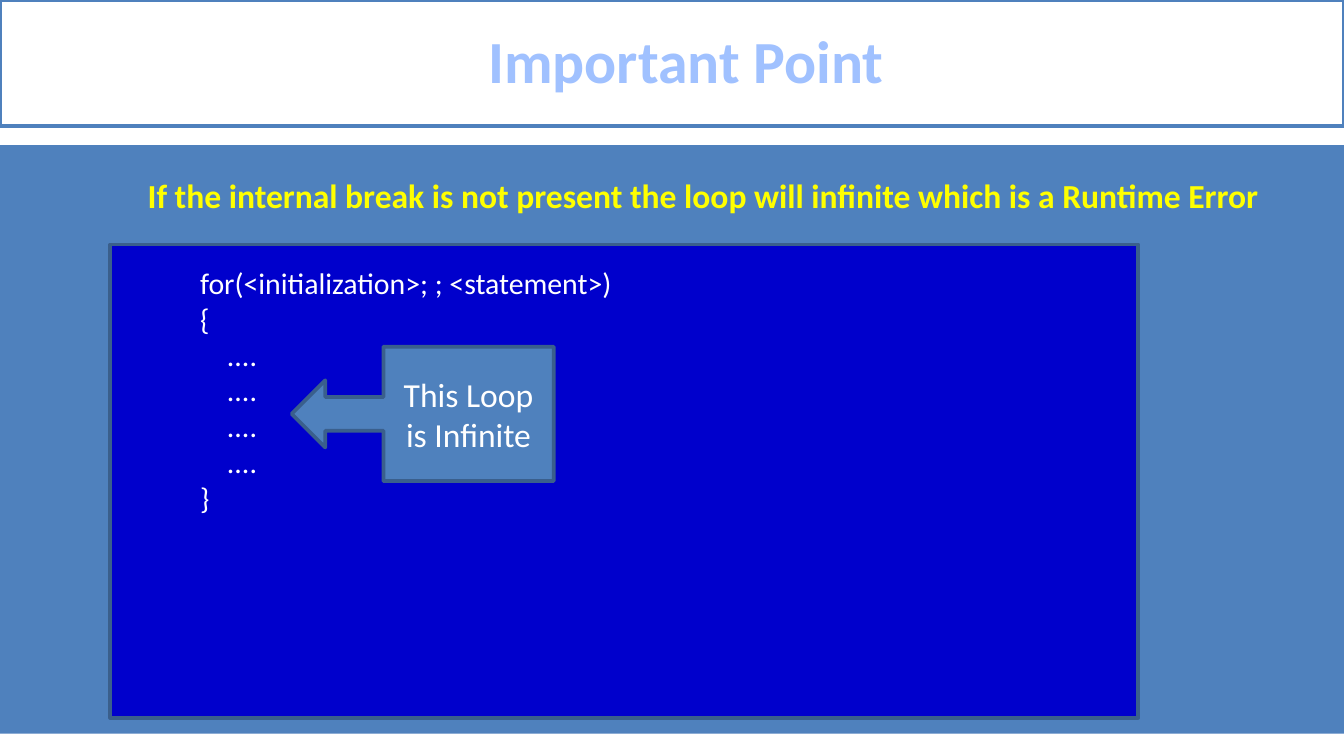
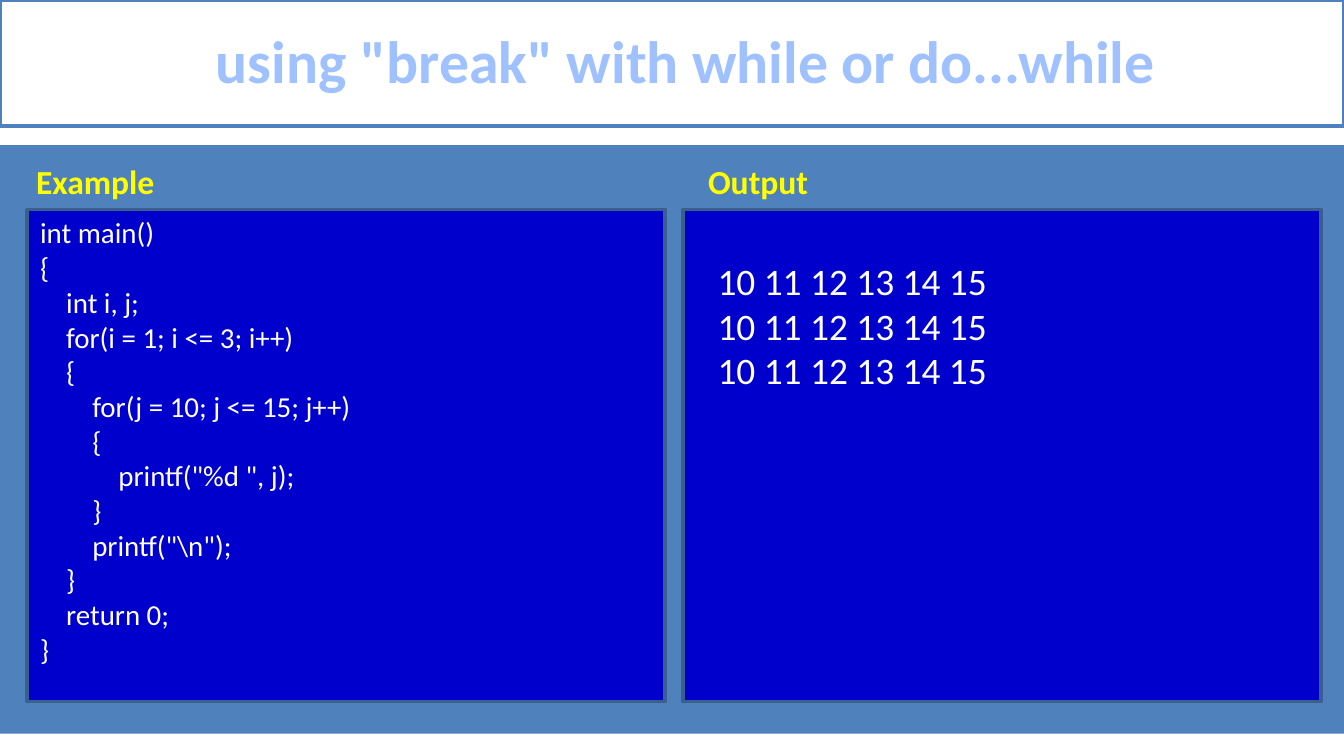
from pptx import Presentation
from pptx.dml.color import RGBColor
from pptx.enum.shapes import MSO_SHAPE
from pptx.enum.text import MSO_ANCHOR, PP_ALIGN
from pptx.util import Inches, Pt

COLORS = {
    "white": "FFFFFF",
    "band": "4F81BD",
    "panel": "0000CC",
    "edge": "3A5F8C",
    "title": "A0C1FF",
    "heading": "FFFF00",
}
FONT = "Calibri"
WIDTH = 10
HEIGHT = WIDTH * 9 / 16
HANG = 0.38

INFINITE_LOOP = {
    "title": "Important Point",
    "warning": "If the internal break is not present the loop will infinite "
               "which is a Runtime Error",
    "code": r"""for(<initialization>; ; <statement>)
{
    ....
    ....
    ....
    ....
}""",
    "callout": "This Loop is Infinite",
}
NESTED_LOOP = {
    "title": 'using "break" with while or do...while',
    "code": r"""int main()
{
    int i, j;
    for(i = 1; i <= 3; i++)
    {
        for(j = 10; j <= 15; j++)
        {
            printf("%d ", j);
        }
        printf("\n");
    }
    return 0;
}""",
    "output": ["10 11 12 13 14 15"] * 3,
}


def rgb(name):
    return RGBColor.from_string(COLORS[name])


def add_box(slide, box, fill, line=None, shape=MSO_SHAPE.RECTANGLE):
    sp = slide.shapes.add_shape(shape, *map(Inches, box))
    sp.shadow.inherit = False
    sp.fill.solid()
    sp.fill.fore_color.rgb = rgb(fill)
    if line:
        sp.line.color.rgb = rgb(line)
        sp.line.width = Pt(2)
    else:
        sp.line.fill.background()
    return sp


def write(sp, lines, size, color="white", bold=False, align=PP_ALIGN.LEFT,
          margin=0, indent=0):
    """Fill a shape with one paragraph per line; margin and indent in inches."""
    tf = sp.text_frame
    tf.word_wrap = True
    for i, line in enumerate(lines):
        p = tf.paragraphs[0] if i == 0 else tf.add_paragraph()
        p.text = line
        p.alignment = align
        pPr = p._p.get_or_add_pPr()
        pPr.set("marL", str(Inches(margin)))
        pPr.set("indent", str(Inches(indent)))
        for r in p.runs:
            r.font.name = FONT
            r.font.size = Pt(size)
            r.font.bold = bold
            r.font.color.rgb = rgb(color)


def add_text(slide, box, lines, size, **style):
    write(slide.shapes.add_textbox(*map(Inches, box)), lines, size, **style)


def add_heading(slide, box, text, margin=0):
    add_text(slide, box, [text], 18, color="heading", bold=True, margin=margin)


def add_code(slide, box, lines, size, level_margin=0):
    add_text(slide, box, lines, size, margin=level_margin + HANG, indent=-HANG)


def add_base(prs, title):
    """Add a slide with the body band and the framed title."""
    s = prs.slides.add_slide(prs.slide_layouts[6])
    add_box(s, (0, 1.08, WIDTH, 4.38), "band")
    sp = add_box(s, (0, 0, WIDTH, 0.94), "white", "band")
    sp.text_frame.vertical_anchor = MSO_ANCHOR.MIDDLE
    write(sp, [title], 32, color="title", bold=True,
          align=PP_ALIGN.CENTER, margin=0.21)
    sp.text_frame.paragraphs[0].line_spacing = 0.96
    return s


def add_infinite_loop(prs, content):
    s = add_base(prs, content["title"])
    add_box(s, (0.82, 1.82, 7.65, 3.52), "panel", "edge")
    add_code(s, (0.39, 1.92, 7.81, 1.99), content["code"].splitlines(), 16,
             level_margin=1)
    add_heading(s, (0, 1.25, WIDTH, 0.4), content["warning"], margin=1)
    callout = add_box(s, (2.17, 2.58, 1.95, 1), "band", "edge",
                      MSO_SHAPE.LEFT_ARROW_CALLOUT)
    callout.text_frame.vertical_anchor = MSO_ANCHOR.MIDDLE
    write(callout, [content["callout"]], 18, align=PP_ALIGN.CENTER)


def add_nested_loop(prs, content):
    s = add_base(prs, content["title"])
    for left in (0.2, 5.08):
        add_box(s, (left, 1.56, 4.75, 3.66), "panel", "edge")
    for left, width, heading in ((0.17, 4.24, "Example"),
                                 (5.17, 4.67, "Output")):
        add_heading(s, (left, 1.15, width, 0.4), heading)
    add_code(s, (0.2, 1.55, 4.41, 3.49), content["code"].splitlines(), 15.5)
    add_code(s, (5.24, 1.87, 4.41, 1.11), content["output"], 20)


def main():
    prs = Presentation()
    prs.slide_width, prs.slide_height = Inches(WIDTH), Inches(HEIGHT)
    add_infinite_loop(prs, INFINITE_LOOP)
    add_nested_loop(prs, NESTED_LOOP)
    prs.save("out.pptx")


if __name__ == "__main__":
    main()
